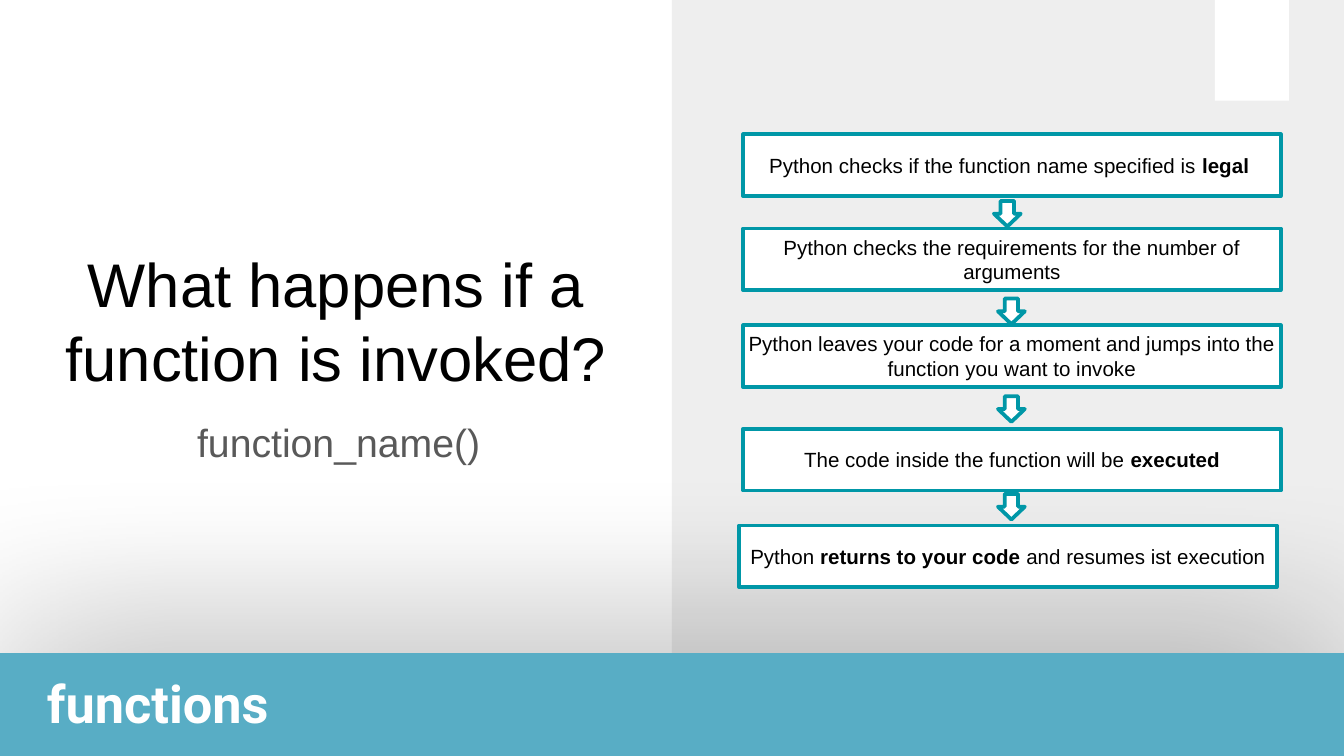
from lxml import etree
from pptx import Presentation
from pptx.dml.color import RGBColor
from pptx.enum.shapes import MSO_SHAPE as Shape
from pptx.enum.text import MSO_ANCHOR as Anchor, MSO_AUTO_SIZE as AutoSize, PP_ALIGN as Align
from pptx.oxml import parse_xml
from pptx.util import Inches, Pt

WHITE = RGBColor(0xFF, 0xFF, 0xFF)
BLACK = RGBColor(0x00, 0x00, 0x00)
GRAY = RGBColor(0x59, 0x59, 0x59)
PANEL = RGBColor(0xEE, 0xEE, 0xEE)
BLUE = RGBColor(0x58, 0xAD, 0xC5)
TEAL = RGBColor(0x00, 0x97, 0xA7)

TITLE = "What happens if a function is invoked?"
SUBTITLE = "function_name()"
FOOTER = "functions"
STEPS = [
    (5.53, 1.0, [("Python checks if the function name specified is ", False), ("legal ", True)]),
    (5.53, 1.7, [("Python checks the requirements for the number of arguments", False)]),
    (5.53, 2.42, [("Python leaves your code for a moment and jumps into the "
                   "function you want to invoke", False)]),
    (5.53, 3.19, [("The code inside the function will be ", False), ("executed", True)]),
    (5.5, 3.91, [("Python ", False), ("returns to your code ", True),
                 ("and resumes ist execution", False)]),
]
ARROW_LEFTS = [7.4, 7.43, 7.43, 7.43]
ARROW_FIRST, ARROW_LAST = 1.49, 3.67
W = 10
H = W * 9 / 16
BAR_TOP = 4.86
NS = "http://schemas.openxmlformats.org/drawingml/2006/main"
GLOW = (f'<a:effectLst xmlns:a="{NS}"><a:outerShdw blurRad="{Pt(100)}" dist="0" dir="0" '
        'algn="ctr" rotWithShape="0"><a:srgbClr val="000000"><a:alpha val="40000"/>'
        '</a:srgbClr></a:outerShdw></a:effectLst>')


def add_block(kind, x, y, w, h, fill, line=None):
    s = slide.shapes.add_shape(kind, Inches(x), Inches(y), Inches(w), Inches(h))
    s.shadow.inherit = False
    s.fill.solid()
    s.fill.fore_color.rgb = fill
    if line:
        s.line.color.rgb = line
        s.line.width = Pt(2)
    else:
        s.line.fill.background()
    return s


def write(s, runs, size, color, anchor, align=Align.CENTER, font="Arial", inset=(0.04, 0.04)):
    tf = s.text_frame
    tf.word_wrap = True
    tf.auto_size = AutoSize.NONE
    tf.vertical_anchor = anchor
    tf.margin_left = tf.margin_right = Inches(inset[0])
    tf.margin_top = tf.margin_bottom = Inches(inset[1])
    p = tf.paragraphs[0]
    p.alignment = align
    p.space_before = Pt(0)
    for text, bold in runs:
        r = p.add_run()
        r.text = text
        r.font.name = font
        r.font.size = Pt(size)
        r.font.bold = bold
        r.font.color.rgb = color
    return p


def place(s, x, y, w, h):
    s.left, s.top, s.width, s.height = Inches(x), Inches(y), Inches(w), Inches(h)


prs = Presentation()
prs.slide_width, prs.slide_height = Inches(W), Inches(H)
slide = prs.slides.add_slide(prs.slide_layouts[0])

title, subtitle = slide.placeholders
place(title, 0.29, 1.35, 4.42, 1.62)
write(title, [(TITLE, False)], 33, BLACK, Anchor.BOTTOM)
place(subtitle, 0.29, 3.07, 4.42, 1.35)
p = write(subtitle, [(SUBTITLE, False)], 21, GRAY, Anchor.TOP)
pPr = p._p.get_or_add_pPr()
pPr.set("marL", str(Inches(0.19)))
pPr.set("indent", str(Inches(-0.15)))

add_block(Shape.RECTANGLE, W / 2, 0, W / 2, H, PANEL)
add_block(Shape.RECTANGLE, 9.04, 0, 0.55, 0.75, WHITE)

bar = add_block(Shape.RECTANGLE, 0, BAR_TOP, W, H - BAR_TOP, BLUE)
spPr = bar._element.spPr
spPr.replace(spPr.find(etree.QName(NS, "effectLst")), parse_xml(GLOW))
footer = slide.shapes.add_textbox(Inches(0.32), Inches(5.09), Inches(9.27), Inches(0.39))
p = write(footer, [(FOOTER, True)], 28, WHITE, Anchor.MIDDLE, Align.LEFT, "Roboto", (0.03, 0.03))
p.line_spacing = 0.7

for x, y, runs in STEPS:
    box = add_block(Shape.RECTANGLE, x, y, 4, 0.46, WHITE, TEAL)
    write(box, runs, 11, BLACK, Anchor.MIDDLE, inset=(0.03, 0.02))

arrow_step = (ARROW_LAST - ARROW_FIRST) / (len(ARROW_LEFTS) - 1)
for i, x in enumerate(ARROW_LEFTS):
    arrow = add_block(Shape.RIGHT_ARROW, x, ARROW_FIRST + i * arrow_step, 0.19, 0.2, WHITE, TEAL)
    arrow.rotation = 90

prs.save("out.pptx")
